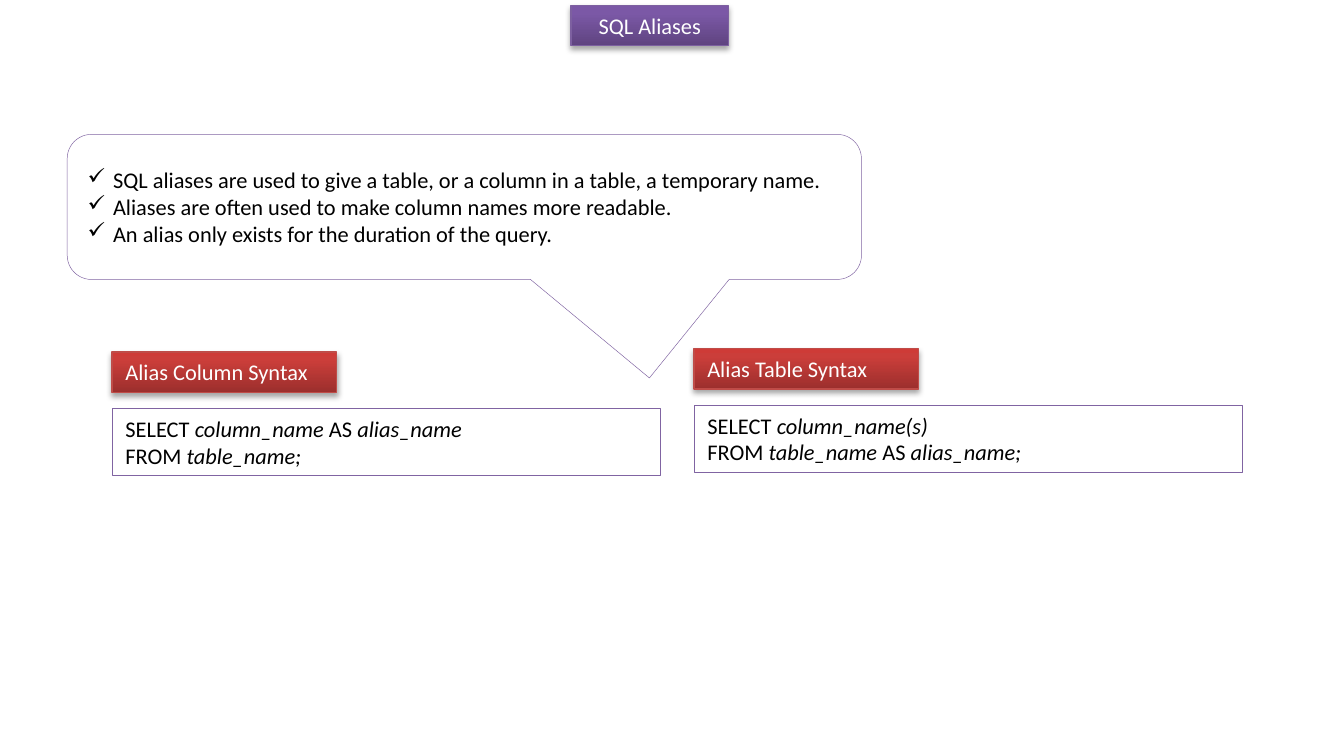
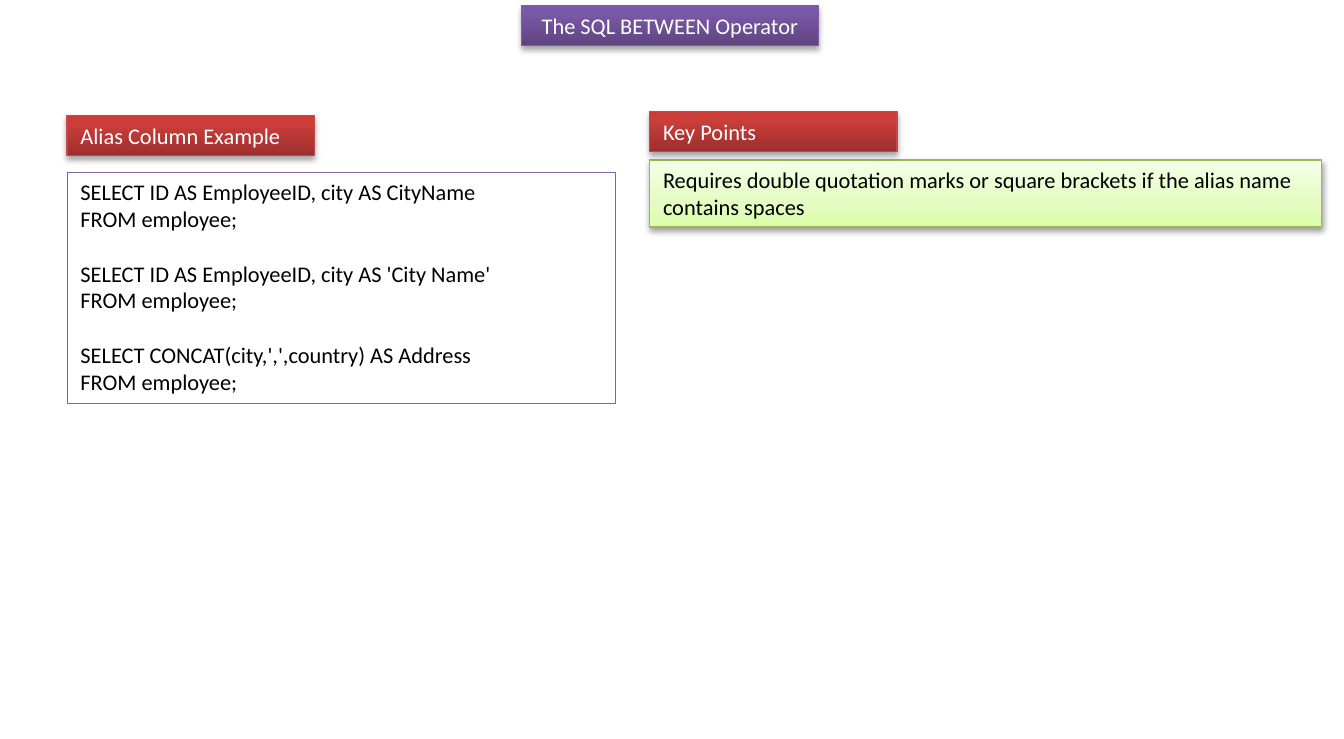
from lxml import etree
from pptx import Presentation
from pptx.dml.color import RGBColor
from pptx.enum.shapes import MSO_SHAPE
from pptx.enum.text import MSO_ANCHOR, MSO_AUTO_SIZE, PP_ALIGN
from pptx.oxml.ns import qn
from pptx.util import Inches, Pt

RECT = MSO_SHAPE.RECTANGLE
CALLOUT = MSO_SHAPE.ROUNDED_RECTANGULAR_CALLOUT
TOP, MIDDLE = MSO_ANCHOR.TOP, MSO_ANCHOR.MIDDLE
LEFT, CENTER = PP_ALIGN.LEFT, PP_ALIGN.CENTER
GROW = MSO_AUTO_SIZE.SHAPE_TO_FIT_TEXT

# The slide is a grid of 100 columns by 55 rows
COLS, ROWS = 100, 55
CELL = Inches(0.1)
TAG_H = 3
LINE_H = Pt(14.65)
FONT = {"name": "Calibri", "size": Pt(12)}

COLORS = {"white": "FFFFFF", "black": "000000", "outline": "8064A2",
          "purple_edge": "7D60A0", "red_edge": "BF4C48", "green_edge": "98B955"}

# Gradient stops run from the bottom edge (0) to the top edge (100)
STYLES = {
    "title": {"stops": {0: "5F4480", 80: "7B58A6", 100: "7C57A8"},
              "line": "purple_edge", "text": "white", "shadow": (35, 1.8)},
    "tag": {"stops": {0: "9C2F2D", 80: "CB3E3A", 100: "CE3B37"},
            "line": "red_edge", "text": "white", "shadow": (35, 1.8)},
    "note": {"stops": {0: "DAFDA7", 35: "E4FCC2", 100: "F5FFE7"},
             "line": "green_edge", "text": "black", "shadow": (38, 1.6)},
    "plain": {"line": "outline", "text": "black"},
}


def rgb(name):
    return RGBColor.from_string(COLORS[name])


def add_color(parent, value):
    return etree.SubElement(parent, qn("a:srgbClr"), val=value)


def fill_gradient(sp, stops):
    sp.fill.gradient()
    sp.fill.gradient_angle = 90
    gs_list = sp._element.spPr.find(".//" + qn("a:gsLst"))
    for gs in list(gs_list):
        gs_list.remove(gs)
    for pos, value in stops.items():
        add_color(etree.SubElement(gs_list, qn("a:gs"), pos=str(pos * 1000)), value)


def add_shadow(sp, alpha, distance):
    effects = sp._element.spPr.find(qn("a:effectLst"))
    shadow = etree.SubElement(effects, qn("a:outerShdw"), blurRad=str(Pt(3.1)),
                              dist=str(Pt(distance)), dir="5400000", rotWithShape="0")
    color = add_color(shadow, COLORS["black"])
    etree.SubElement(color, qn("a:alpha"), val=str(alpha * 1000))


def add_check(p):
    pPr = p._p.get_or_add_pPr()
    indent = Inches(0.19)
    pPr.set("marL", str(indent))
    pPr.set("indent", str(-indent))
    etree.SubElement(pPr, qn("a:buChar"), char="✓")


def write_line(p, line, color):
    """Write one line; parts between asterisks are italic."""
    for i, part in enumerate(line.split("*")):
        if part:
            r = p.add_run()
            r.text = part
            for key, value in {**FONT, "italic": i % 2 == 1}.items():
                setattr(r.font, key, value)
            r.font.color.rgb = color


def add_box(slide, box, style, blocks, shape=RECT, align=LEFT, checks=False):
    """Draw a styled shape; each block of lines starts one line below the last."""
    look = STYLES[style]
    sp = slide.shapes.add_shape(shape, *(round(n * CELL) for n in box))
    sp.shadow.inherit = False
    if "stops" in look:
        fill_gradient(sp, look["stops"])
        add_shadow(sp, *look["shadow"])
    else:
        sp.fill.solid()
        sp.fill.fore_color.rgb = rgb("white")
    sp.line.color.rgb = rgb(look["line"])
    sp.line.width = Pt(0.75 if "stops" in look else 0.25)

    tf = sp.text_frame
    frame = {"word_wrap": True, "vertical_anchor": TOP, "auto_size": GROW}
    if shape == CALLOUT:
        frame = {"word_wrap": True, "vertical_anchor": MIDDLE}
    for key, value in frame.items():
        setattr(tf, key, value)

    lines = [(b, n, line) for b, block in enumerate(blocks)
             for n, line in enumerate(block.split("\n"))]
    for i, (b, n, line) in enumerate(lines):
        p = tf.add_paragraph() if i else tf.paragraphs[0]
        p.alignment = align
        if b and n == 0:
            p.space_before = LINE_H
        if checks:
            add_check(p)
        write_line(p, line, rgb(look["text"]))
    return sp


def add_title(slide, x, width, text):
    add_box(slide, (x, 0.4, width, TAG_H), "title", [text], align=CENTER)


def add_callout(slide, box, text):
    sp = add_box(slide, box, "plain", [text], shape=CALLOUT, checks=True)
    for i, value in enumerate((0.233, 1.179, 0.167)):
        sp.adjustments[i] = value


def add_panel(slide, box, tag_w, tag, blocks, style="plain", gap=1.2):
    """Place a red tag at the top of the box and its text in the rest."""
    x, y, w, h = box
    drop = TAG_H + gap
    add_box(slide, (x, y + drop, w, h - drop), style, blocks)
    add_box(slide, (x, y, tag_w, TAG_H), "tag", [tag])


def build_aliases(slide):
    add_title(slide, 42.5, 11.7, "SQL Aliases")
    add_callout(slide, (5, 10, 59.1, 10.8),
                "SQL aliases are used to give a table, or a column in a table, a temporary name.\n"
                "Aliases are often used to make column names more readable.\n"
                "An alias only exists for the duration of the query.")
    add_panel(slide, (8.35, 26.2, 40.8, 9.2), 16.7, "Alias Column Syntax",
              ["SELECT *column_name* AS *alias_name*\nFROM *table_name;*"])
    add_panel(slide, (51.65, 25.95, 40.8, 9.2), 16.7, "Alias Table Syntax",
              ["SELECT *column_name(s)*\nFROM *table_name* AS *alias_name;*"])


def build_between(slide):
    add_title(slide, 38.8, 22.1, "The SQL BETWEEN Operator")
    queries = ["ID AS EmployeeID, city AS CityName",
               "ID AS EmployeeID, city AS 'City Name'",
               "CONCAT(city,',',country) AS Address"]
    add_panel(slide, (5, 8.6, 40.8, 21.4), 18.4, "Alias Column Example",
              [f"SELECT {columns}\nFROM employee;" for columns in queries])
    add_panel(slide, (48.35, 8.3, 50, 8.6), 18.4, "Key Points",
              ["Requires double quotation marks or square brackets if the alias name "
               "contains spaces"], style="note", gap=0.6)


def main():
    prs = Presentation()
    prs.slide_width, prs.slide_height = COLS * CELL, ROWS * CELL
    blank = prs.slide_layouts[6]
    for build in (build_aliases, build_between):
        build(prs.slides.add_slide(blank))
    prs.save("out.pptx")


if __name__ == "__main__":
    main()
